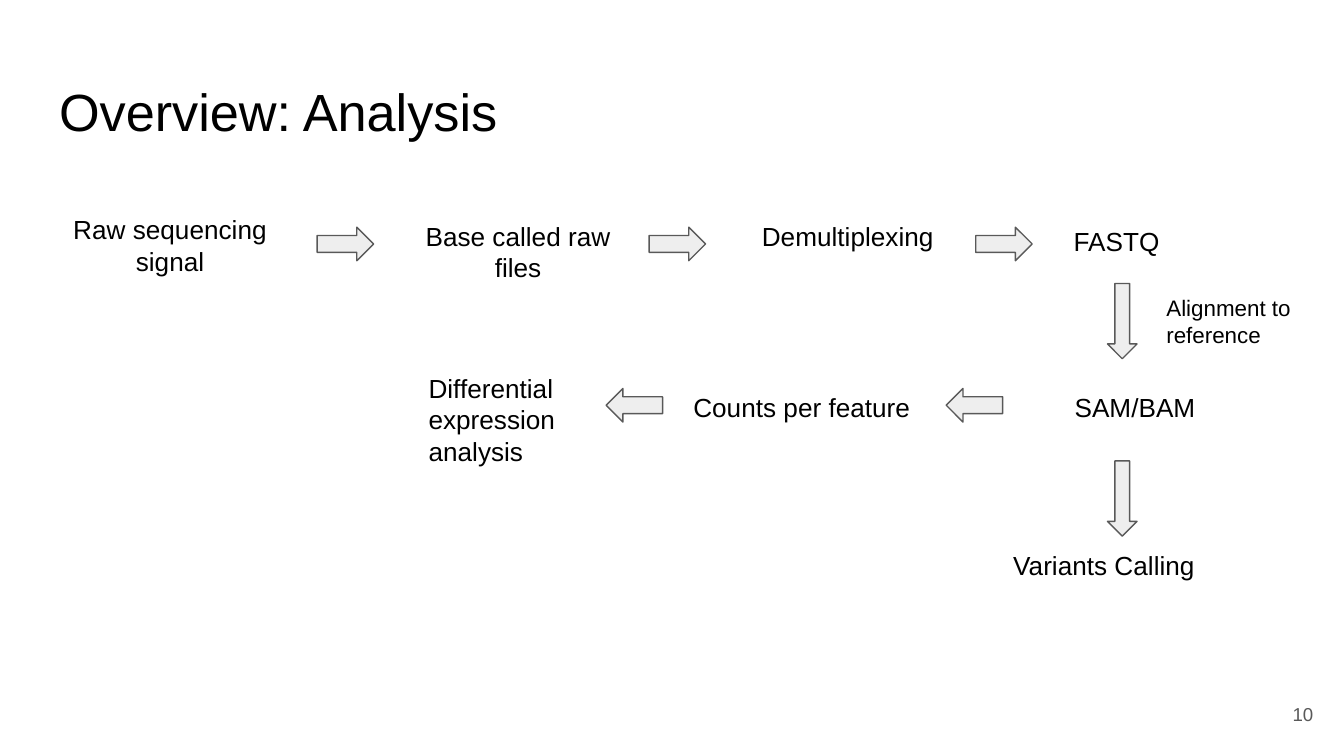
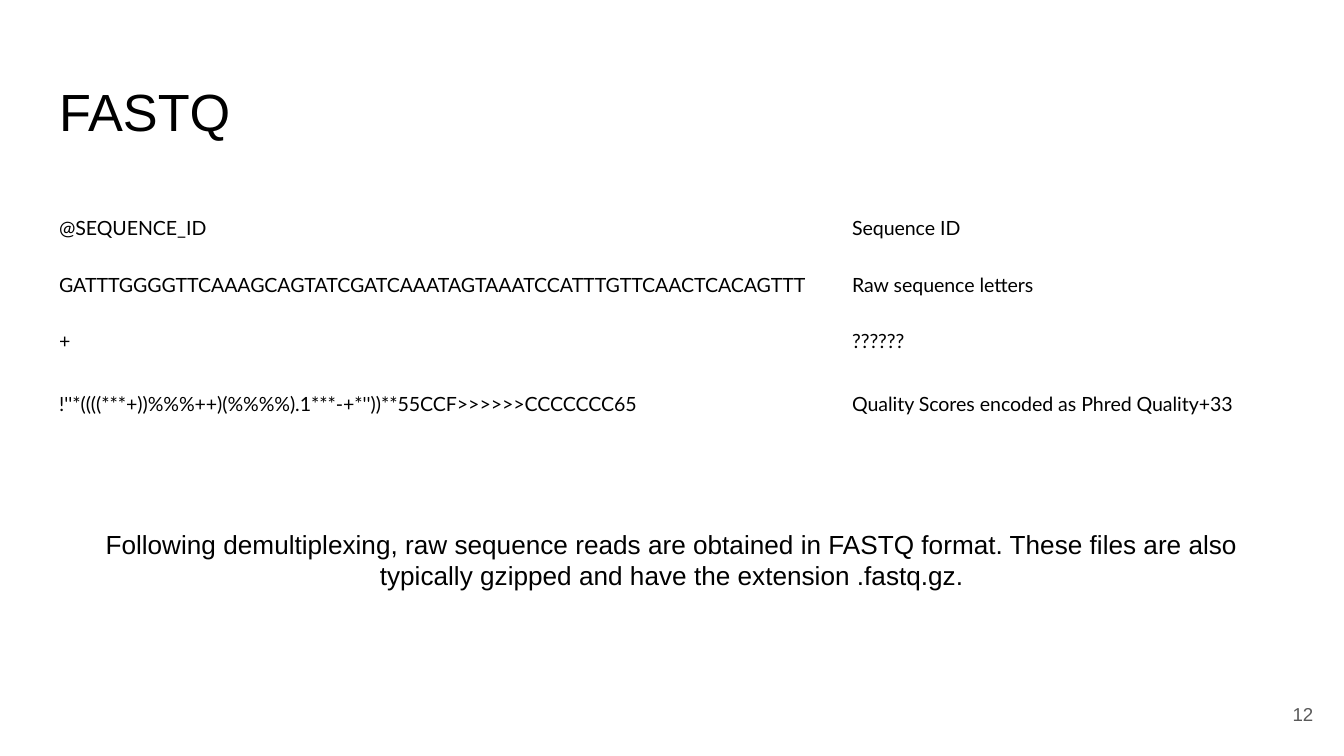
from dataclasses import dataclass

from pptx import Presentation
from pptx.dml.color import RGBColor
from pptx.enum.shapes import MSO_SHAPE as Preset
from pptx.enum.text import MSO_ANCHOR as Anchor, MSO_AUTO_SIZE as AutoSize, PP_ALIGN as Align
from pptx.util import Inches, Pt

BLACK = RGBColor(0x00, 0x00, 0x00)
GREY = RGBColor(0x59, 0x59, 0x59)
PALE = RGBColor(0xEE, 0xEE, 0xEE)
INSET = Inches(0.1)
PAGE_WIDTH = Inches(10)
PAGE_HEIGHT = Inches(10 * 9 / 16)
TITLE_ONLY = 5


@dataclass(frozen=True)
class Label:
    text: str
    left: float
    top: float
    width: float
    height: float
    align: Align = Align.LEFT
    size: float = 14


@dataclass(frozen=True)
class Arrow:
    preset: Preset
    left: float
    top: float
    width: float = 0.42
    height: float = 0.25


STEPS = [
    Label("Raw sequencing signal", 0.34, 1.49, 1.85, 0.45, Align.CENTER),
    Label("Base called raw files", 2.93, 1.54, 1.85, 0.45, Align.CENTER),
    Label("Demultiplexing", 5.57, 1.54, 1.48, 0.45),
    Label("FASTQ", 7.89, 1.58, 0.96, 0.41),
    Label("SAM/BAM", 7.52, 2.81, 1.85, 0.41, Align.CENTER),
    Label("Counts per feature", 5.06, 2.81, 1.85, 0.41),
    Label("Variants Calling", 7.44, 3.99, 1.85, 0.41),
    Label("Differential expression analysis", 3.09, 2.67, 1.21, 0.91),
]
ARROWS = [
    *(Arrow(Preset.RIGHT_ARROW, left, 1.69) for left in (2.36, 4.83, 7.26)),
    *(Arrow(Preset.DOWN_ARROW, 8.24, top, 0.22, 0.56) for top in (2.11, 3.43)),
    *(Arrow(Preset.LEFT_ARROW, left, 2.89) for left in (7.04, 4.51)),
]
ALIGNMENT_NOTE = Label("Alignment to reference", 8.58, 2.09, 1.21, 0.63, size=12)
RECORD = [
    ("@SEQUENCE_ID", "Sequence ID"),
    ("GATTTGGGGTTCAAAGCAGTATCGATCAAATAGTAAATCCATTTGTTCAACTCACAGTTT", "Raw sequence letters"),
    ("+", "??????"),
    ("!''*((((***+))%%%++)(%%%%).1***-+*''))**55CCF>>>>>>CCCCCCC65",
     "Quality Scores encoded as Phred Quality+33"),
]
COLUMN_WIDTHS = (5.9, 3.67)
ROW_HEIGHT = 0.42
FASTQ_NOTE = Label(
    "Following demultiplexing, raw sequence reads are obtained in FASTQ format. "
    "These files are also typically gzipped and have the extension .fastq.gz.",
    0.52, 3.83, 8.96, 0.73, Align.CENTER)


def write(frame, text: str, *, size: float = 14, font: str = "Arial",
          color: RGBColor = BLACK, align: Align = Align.LEFT, spacing: float = 1.0) -> None:
    para = frame.paragraphs[0]
    para.alignment = align
    para.line_spacing = spacing
    span = para.add_run()
    span.text = text
    span.font.size = Pt(size)
    span.font.name = font
    span.font.color.rgb = color


def set_frame(frame, anchor: Anchor = Anchor.TOP) -> None:
    frame.word_wrap = True
    frame.auto_size = AutoSize.NONE
    frame.vertical_anchor = anchor
    frame.margin_left = frame.margin_right = INSET
    frame.margin_top = frame.margin_bottom = INSET


def add_label(page, label: Label, *, color: RGBColor = BLACK, anchor: Anchor = Anchor.TOP) -> None:
    box = page.shapes.add_textbox(Inches(label.left), Inches(label.top),
                                  Inches(label.width), Inches(label.height))
    set_frame(box.text_frame, anchor)
    write(box.text_frame, label.text, size=label.size, color=color, align=label.align)


def add_arrow(page, arrow: Arrow) -> None:
    shape = page.shapes.add_shape(arrow.preset, Inches(arrow.left), Inches(arrow.top),
                                  Inches(arrow.width), Inches(arrow.height))
    shape.shadow.inherit = False
    shape.fill.solid()
    shape.fill.fore_color.rgb = PALE
    shape.line.color.rgb = GREY
    shape.line.width = Pt(0.75)


def add_page(deck, title: str):
    page = deck.slides.add_slide(deck.slide_layouts[TITLE_ONLY])
    heading = page.shapes.title
    heading.left, heading.top = Inches(0.34), Inches(0.49)
    heading.width, heading.height = Inches(9.32), Inches(0.63)
    set_frame(heading.text_frame)
    write(heading.text_frame, title, size=28)
    return page


def add_page_number(page, number: int) -> None:
    add_label(page, Label(str(number), 9.27, 5.1, 0.6, 0.43, Align.RIGHT, 10),
              color=GREY, anchor=Anchor.MIDDLE)


def add_record_table(page) -> None:
    table = page.shapes.add_table(
        len(RECORD), len(COLUMN_WIDTHS), Inches(0.34), Inches(1.51),
        Inches(sum(COLUMN_WIDTHS)), Inches(ROW_HEIGHT * len(RECORD))).table
    table.first_row = table.horz_banding = False
    for column, width in zip(table.columns, COLUMN_WIDTHS):
        column.width = Inches(width)
    for row_index, row in enumerate(RECORD):
        table.rows[row_index].height = Inches(ROW_HEIGHT)
        spacing = 1.3 if row_index == len(RECORD) - 1 else 1.0
        for column_index, text in enumerate(row):
            cell = table.cell(row_index, column_index)
            cell.fill.background()
            cell.margin_left = cell.margin_right = INSET
            cell.margin_top = cell.margin_bottom = INSET
            write(cell.text_frame, text, size=10.5, font="Lato", spacing=spacing)


def main() -> None:
    deck = Presentation()
    deck.slide_width = PAGE_WIDTH
    deck.slide_height = PAGE_HEIGHT

    overview = add_page(deck, "Overview: Analysis")
    for step in STEPS:
        add_label(overview, step)
    for arrow in ARROWS:
        add_arrow(overview, arrow)
    add_label(overview, ALIGNMENT_NOTE)
    add_page_number(overview, 10)

    fastq = add_page(deck, "FASTQ")
    add_record_table(fastq)
    add_page_number(fastq, 12)
    add_label(fastq, FASTQ_NOTE)

    deck.save("out.pptx")


if __name__ == "__main__":
    main()
